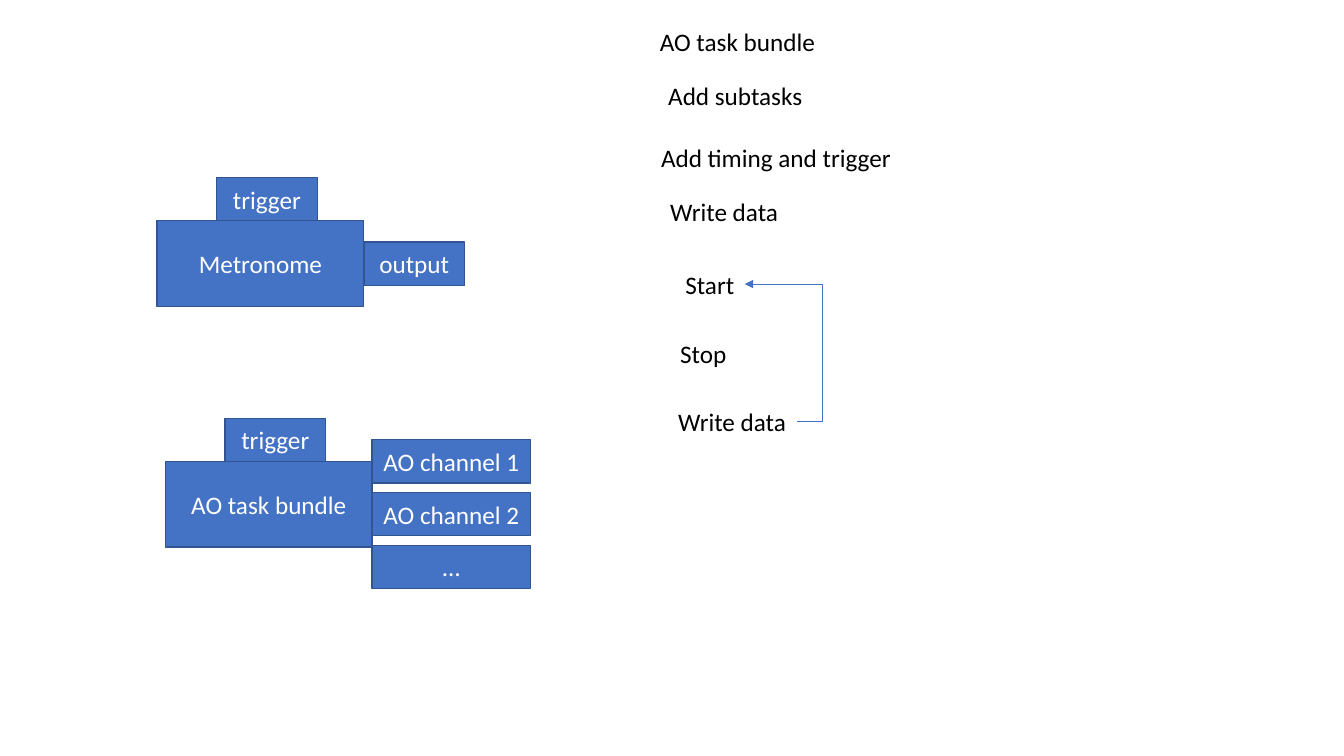
from lxml.etree import SubElement
from pptx import Presentation
from pptx.dml.color import RGBColor
from pptx.enum.shapes import MSO_CONNECTOR as Link, MSO_SHAPE as Shape
from pptx.enum.text import MSO_ANCHOR as Anchor, MSO_AUTO_SIZE as Fit, PP_ALIGN as Align
from pptx.oxml.ns import qn
from pptx.util import Cm, Pt

BLUE = RGBColor(0x44, 0x72, 0xC4)
NAVY = RGBColor(0x32, 0x54, 0x91)
WHITE = RGBColor(0xFF, 0xFF, 0xFF)
BLACK = RGBColor(0, 0, 0)
FONT = {"name": "Calibri", "size": Pt(18)}

# name, left, top, outputs, output width, first output's offset from the top
BLOCKS = [
    ("Metronome", 3.96, 5.56, ["output"], 2.54, 0.54),
    ("AO task bundle", 4.17, 11.63, ["AO channel 1", "AO channel 2", "…"], 3.99, -0.55),
]
# text, left, top, width
STEPS = [
    ("AO task bundle", 16.38, 0.53, 4.47),
    ("Add subtasks", 16.59, 1.91, 3.94),
    ("Add timing and trigger", 16.41, 3.45, 6.38),
    ("Write data", 16.64, 4.83, 3.25),
    ("Start", 17.02, 6.65, 1.75),
    ("Stop", 16.89, 8.41, 1.7),
    ("Write data", 16.84, 10.11, 3.25),
]
BODY_W, BODY_H = 5.21, 2.16
TAB_W, TAB_H = 2.54, 1.09
TAB_IN, PITCH = 1.5, 1.33
STEP_H = 1.02
BEND = -48700

deck = Presentation()
deck.slide_width, deck.slide_height = Cm(33.87), Cm(19.05)
slide = deck.slides.add_slide(deck.slide_layouts[6])


def style(para, color):
    for key, value in FONT.items():
        setattr(para.font, key, value)
    para.font.color.rgb = color


def add_box(text, left, top, width, height):
    box = slide.shapes.add_shape(Shape.RECTANGLE, Cm(left), Cm(top), Cm(width), Cm(height))
    box.shadow.inherit = False
    box.fill.solid()
    box.fill.fore_color.rgb = BLUE
    box.line.color.rgb = NAVY
    box.line.width = Pt(1)
    frame = box.text_frame
    frame.text = text
    frame.vertical_anchor = Anchor.MIDDLE
    frame.paragraphs[0].alignment = Align.CENTER
    style(frame.paragraphs[0], WHITE)


def add_step(text, left, top, width):
    box = slide.shapes.add_textbox(Cm(left), Cm(top), Cm(width), Cm(STEP_H))
    frame = box.text_frame
    frame.text = text
    frame.word_wrap = False
    frame.auto_size = Fit.SHAPE_TO_FIT_TEXT
    style(frame.paragraphs[0], BLACK)
    return box


def add_loop(start, end):
    """Lead an elbow arrow from the right of one step back to another."""
    loop = slide.shapes.add_connector(Link.ELBOW, 0, 0, 0, 0)
    loop.begin_connect(start, 3)
    loop.end_connect(end, 3)
    loop.line.color.rgb = BLUE
    loop.line.width = Pt(0.5)
    props = loop.element.spPr
    guides = props.find(qn("a:prstGeom")).find(qn("a:avLst"))
    SubElement(guides, qn("a:gd"), name="adj1", fmla=f"val {BEND}")
    SubElement(props.find(qn("a:ln")), qn("a:tailEnd"), type="triangle")
    SubElement(props, qn("a:effectLst"))


for name, left, top, outs, width, drop in BLOCKS:
    add_box(name, left, top, BODY_W, BODY_H)
    add_box("trigger", left + TAB_IN, top - TAB_H, TAB_W, TAB_H)
    for row, out in enumerate(outs):
        add_box(out, left + BODY_W, top + drop + row * PITCH, width, TAB_H)

steps = [add_step(*step) for step in STEPS]
add_loop(steps[-1], steps[-3])

deck.save("out.pptx")
